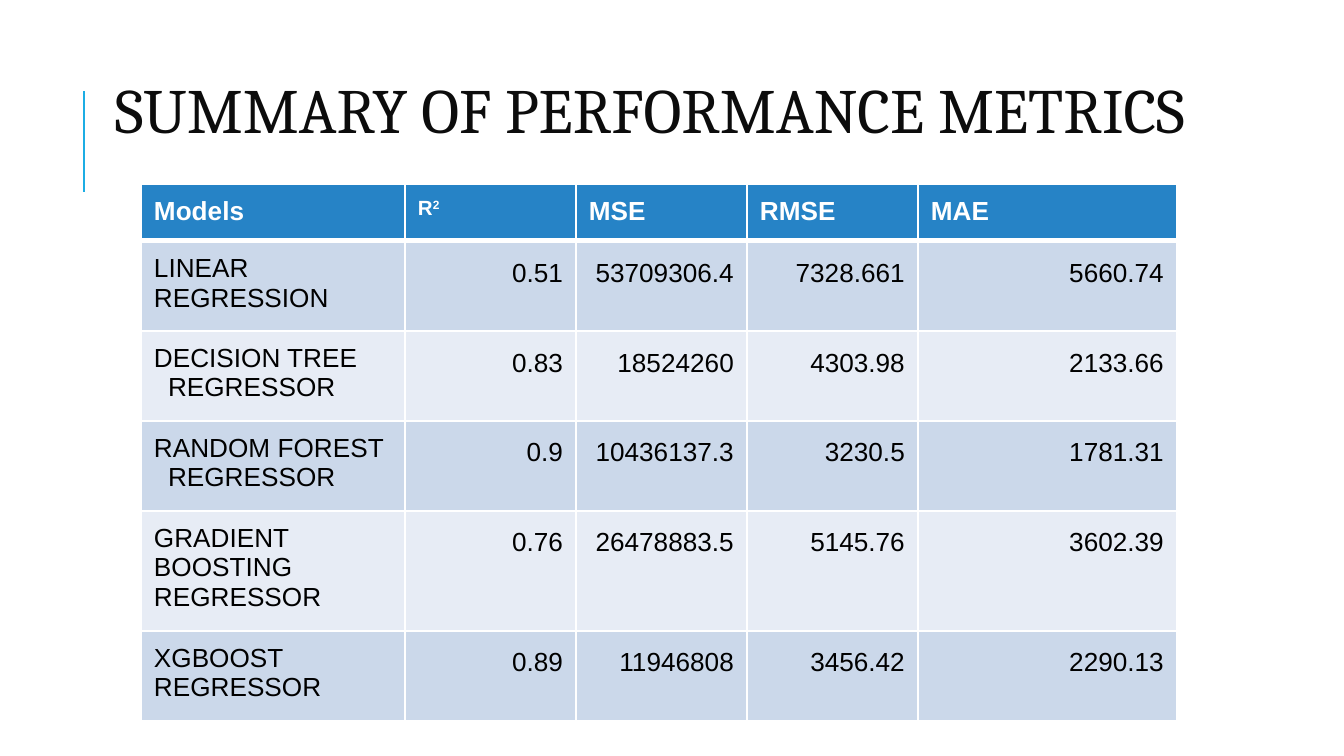
from lxml import etree
from pptx import Presentation
from pptx.dml.color import RGBColor
from pptx.enum.shapes import MSO_CONNECTOR
from pptx.enum.text import MSO_ANCHOR, PP_ALIGN
from pptx.oxml.ns import qn
from pptx.util import Pt

STRAIGHT = MSO_CONNECTOR.STRAIGHT
MIDDLE = MSO_ANCHOR.MIDDLE
CENTER, LEFT, RIGHT = PP_ALIGN.CENTER, PP_ALIGN.LEFT, PP_ALIGN.RIGHT

TITLE = "SUMMARY OF PERFORMANCE METRICS"
HEADINGS = ["Models", "R2", "MSE", "RMSE", "MAE"]
# A line break in a model name starts an indented second paragraph.
RESULTS = [
    ("LINEAR REGRESSION", "0.51", "53709306.4", "7328.661", "5660.74"),
    ("DECISION TREE\nREGRESSOR", "0.83", "18524260", "4303.98", "2133.66"),
    ("RANDOM FOREST\nREGRESSOR", "0.9", "10436137.3", "3230.5", "1781.31"),
    ("GRADIENT BOOSTING REGRESSOR", "0.76", "26478883.5", "5145.76", "3602.39"),
    ("XGBOOST REGRESSOR", "0.89", "11946808", "3456.42", "2290.13"),
]
COLUMN_WIDTHS = [264, 171, 171, 171, 259]
ROW_HEIGHTS = [57, 90, 90, 90, 120, 90]
TABLE_LEFT, TABLE_TOP = 141, 184
CELL_MARGIN = 13
SECOND_LINE_INDENT = 14

HEADER_FILL = "2683C6"
BAND_FILLS = ["CBD8EA", "E7ECF5"]
ACCENT, TITLE_INK, WHITE, BLACK = "1CADE4", "0C0C0C", "FFFFFF", "000000"


def px(length):
    return round(length * 914400 / 134.4)


def rgb(value):
    return RGBColor.from_string(value)


def style(font, name, size, color, bold=False):
    font.name, font.size, font.bold = name, Pt(size), bold
    font.color.rgb = rgb(color)


def add_borders(cell, bottom=1, top=1):
    """Draw white borders, with widths in points, ahead of the cell's fill."""
    properties = cell._tc.get_or_add_tcPr()
    edges = [("a:lnL", 1), ("a:lnR", 1), ("a:lnT", top), ("a:lnB", bottom)]
    for position, (tag, width) in enumerate(edges):
        line = etree.Element(qn(tag), w=str(Pt(width)))
        fill = etree.SubElement(line, qn("a:solidFill"))
        etree.SubElement(fill, qn("a:srgbClr"), val=WHITE)
        properties.insert(position, line)


def fill_cell(cell, text, fill, ink, align, spacing, bold=False):
    cell.margin_left = cell.margin_right = px(CELL_MARGIN)
    cell.margin_top = cell.margin_bottom = px(CELL_MARGIN)
    cell.fill.solid()
    cell.fill.fore_color.rgb = rgb(fill)
    cell.text = text
    for number, paragraph in enumerate(cell.text_frame.paragraphs):
        paragraph.alignment, paragraph.line_spacing = align, spacing
        style(paragraph.font, "Arial", 14, ink, bold)
        if number:
            indent = str(px(SECOND_LINE_INDENT))
            paragraph._p.get_or_add_pPr().set("marL", indent)


def add_title(slide):
    title = slide.shapes.title
    title.left, title.top, title.width, title.height = map(px, (74, 54, 1153, 122))
    frame = title.text_frame
    frame.text = TITLE
    frame.word_wrap, frame.vertical_anchor = True, MIDDLE
    heading = frame.paragraphs[0]
    heading.alignment, heading.line_spacing = CENTER, 0.8
    style(heading.font, "Cambria", 33.8, TITLE_INK)


def add_accent(slide):
    accent = slide.shapes.add_connector(STRAIGHT, *map(px, (84, 192, 84, 91)))
    accent.line.color.rgb = rgb(ACCENT)
    accent.line.width = Pt(1.5)
    etree.SubElement(accent._element.spPr, qn("a:effectLst"))


def add_metrics(slide):
    table = slide.shapes.add_table(
        len(ROW_HEIGHTS), len(COLUMN_WIDTHS), px(TABLE_LEFT), px(TABLE_TOP),
        px(sum(COLUMN_WIDTHS)), px(sum(ROW_HEIGHTS))).table
    for column, width in zip(table.columns, COLUMN_WIDTHS):
        column.width = px(width)
    for row, height in zip(table.rows, ROW_HEIGHTS):
        row.height = px(height)

    for column, heading in enumerate(HEADINGS):
        cell = table.cell(0, column)
        fill_cell(cell, heading, HEADER_FILL, WHITE, LEFT, 1.0, bold=True)
        add_borders(cell, bottom=3)

    r_squared = table.cell(0, HEADINGS.index("R2")).text_frame.paragraphs[0]
    r_squared.runs[0].text = "R"
    r_squared.add_run().text = "2"
    for run in r_squared.runs:
        run.font.size = Pt(11)
    r_squared.runs[1].font._element.set("baseline", "30000")

    for row, result in enumerate(RESULTS, start=1):
        fill = BAND_FILLS[(row - 1) % 2]
        for column, text in enumerate(result):
            align, spacing = (RIGHT, 1.15) if column else (LEFT, 1.0)
            cell = table.cell(row, column)
            fill_cell(cell, text, fill, BLACK, align, spacing)
            add_borders(cell, top=3 if row == 1 else 1)


def main():
    deck = Presentation()
    deck.slide_width, deck.slide_height = px(1344), px(756)
    slide = deck.slides.add_slide(deck.slide_layouts[5])
    add_accent(slide)
    add_title(slide)
    add_metrics(slide)
    deck.save("out.pptx")


if __name__ == "__main__":
    main()
